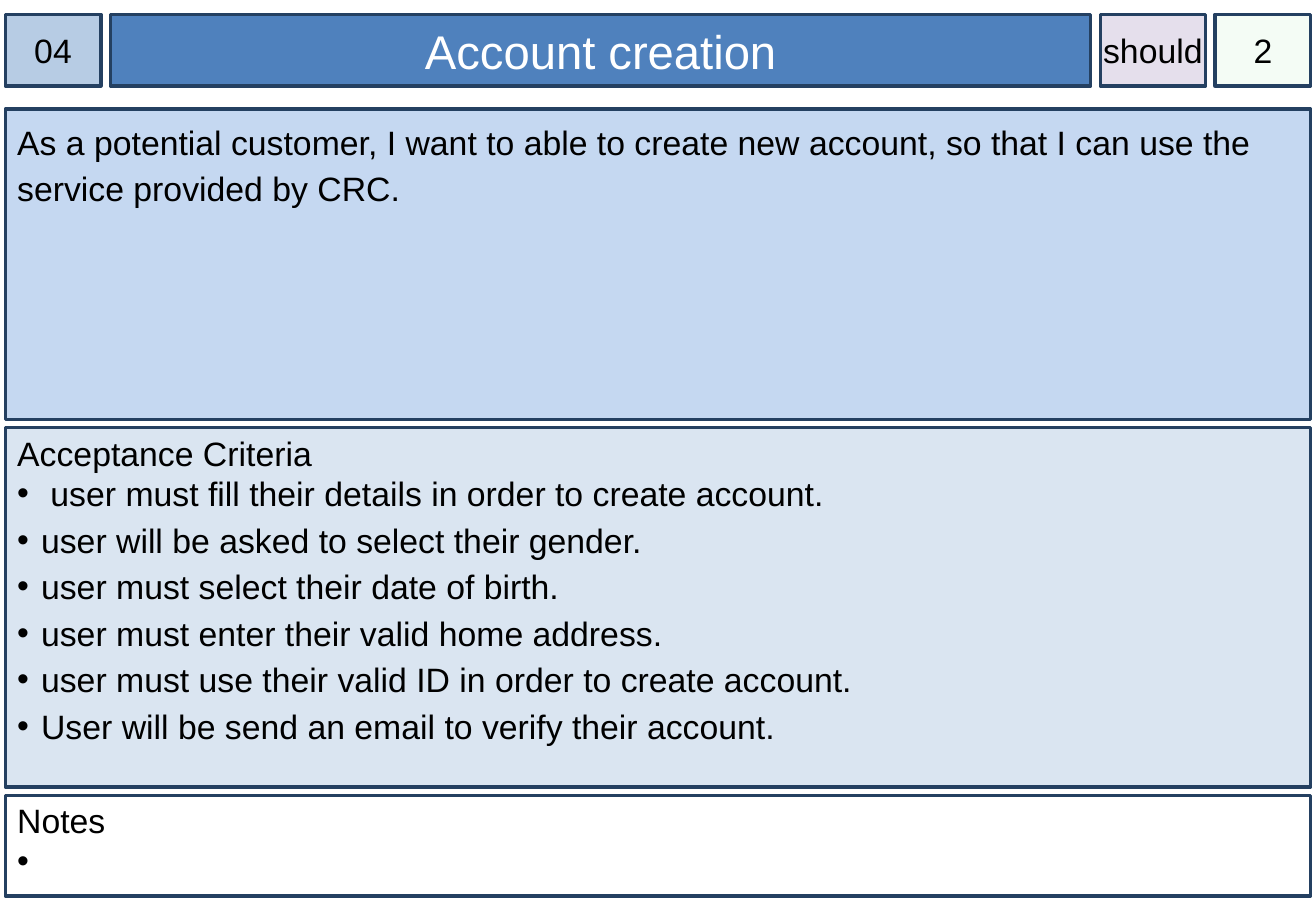
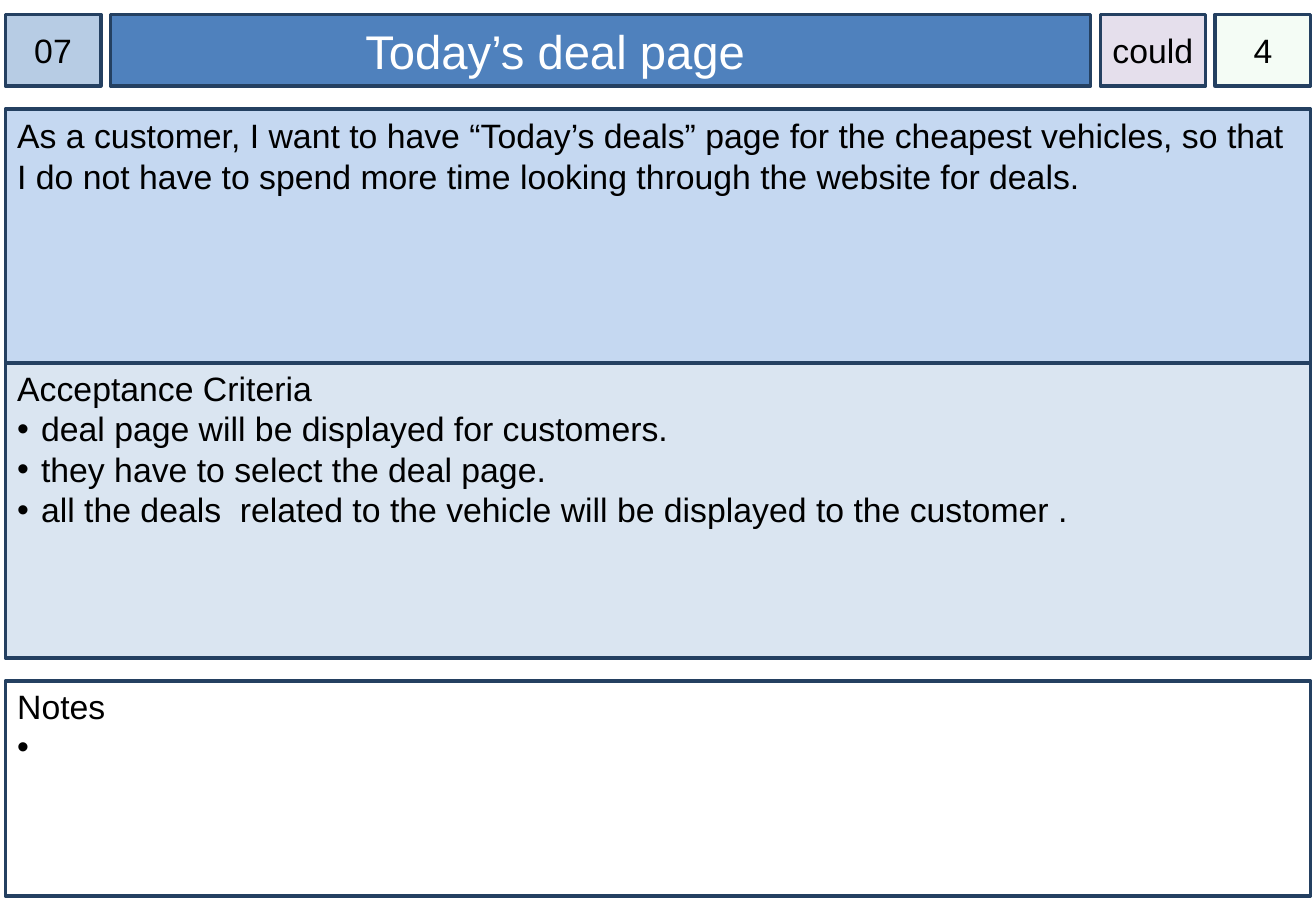
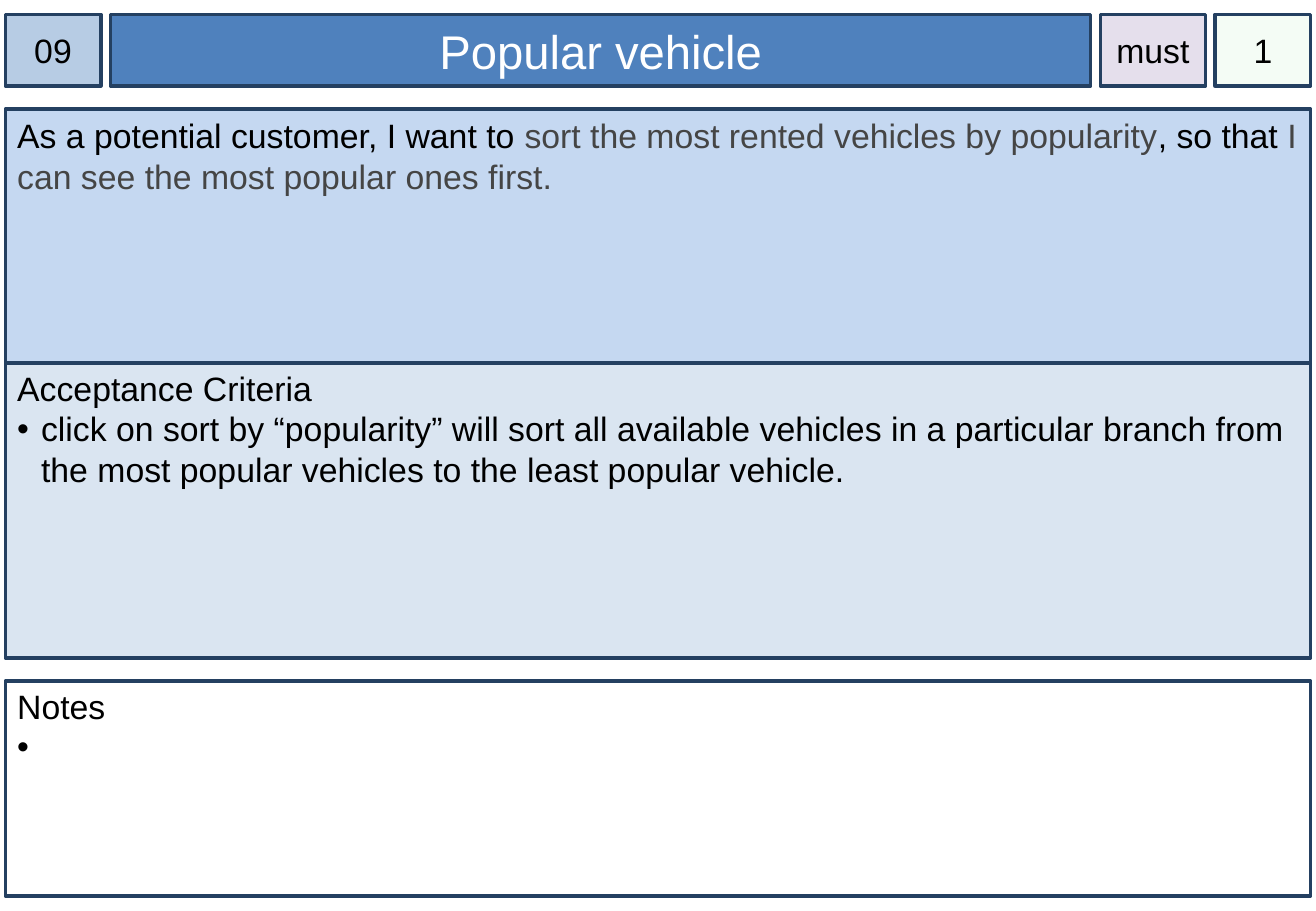
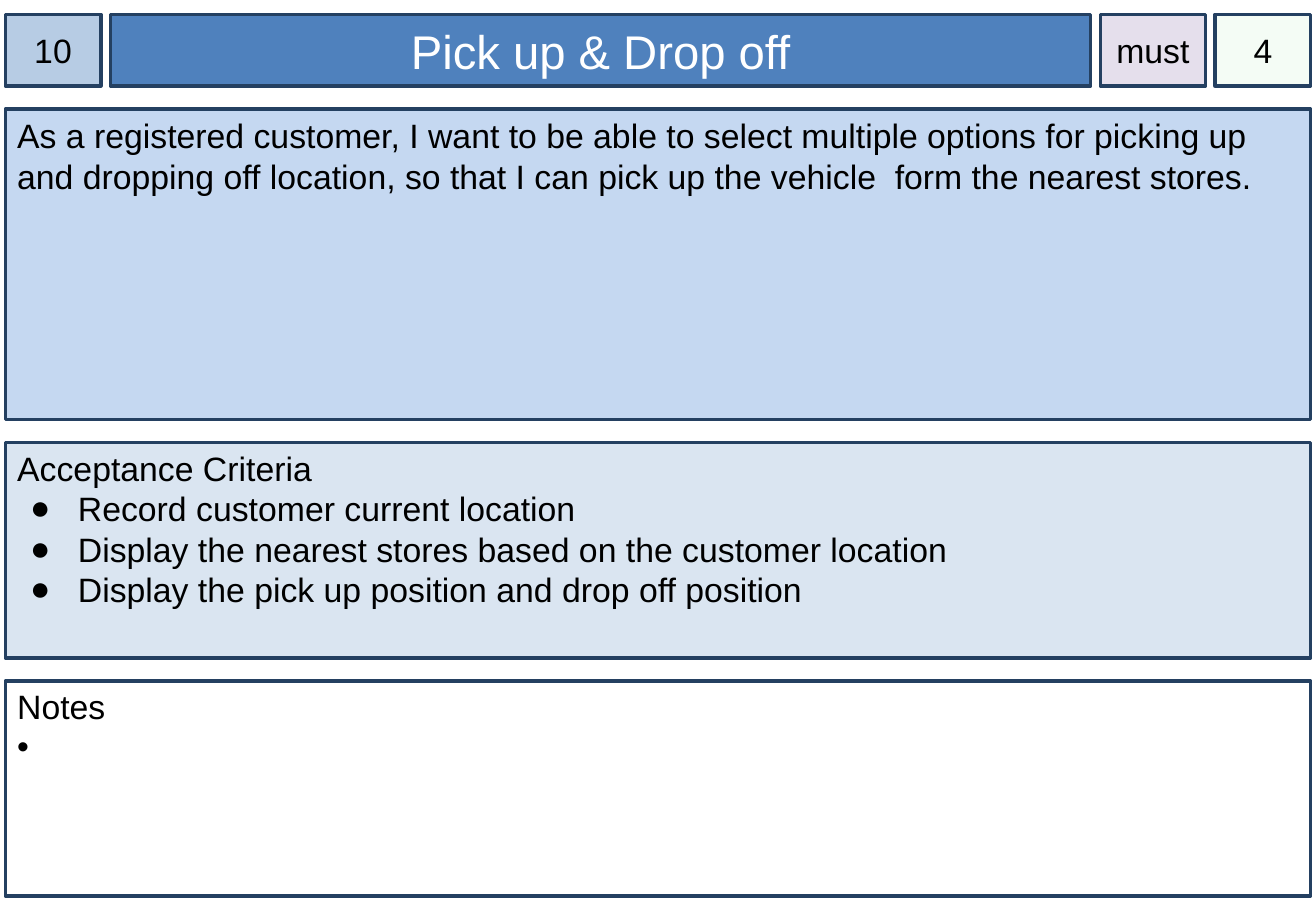
from lxml.etree import SubElement
from pptx import Presentation
from pptx.dml.color import RGBColor
from pptx.enum.shapes import MSO_SHAPE
from pptx.enum.text import MSO_ANCHOR, MSO_AUTO_SIZE, PP_ALIGN
from pptx.oxml.ns import qn
from pptx.util import Cm, Pt

COLORS = {
    "border": "244061", "number": "B7CCE4", "title": "4F81BD",
    "priority": "E5DFEC", "estimate": "CCF0CD", "story": "C5D8F1",
    "criteria": "DAE5F1", "notes": "FFFFFF", "text": "000000",
    "title_text": "FFFFFF", "muted": "454545",
}
FONT = "Arial"
MARGIN, GAP = 0.11, 0.2
HEADER_TOP, HEADER_HEIGHT = 0.3, 1.5
HEADER_WIDTHS = {"number": 2, "title": 20.5, "priority": 2.2, "estimate": 2}
BODY_WIDTH, BODY_TOP, BODY_BOTTOM = 27.3, 2.28, 18.74

CARDS = [
    {
        "number": "04", "title": "Account creation", "priority": "should", "estimate": "2",
        "story": [("As a potential customer, I want to able to create new account, so that I can use the service provided by CRC.", "text")],
        "criteria": [
            " user must fill their details in order to create account.",
            "user will be asked to select their gender.",
            "user must select their date of birth.",
            "user must enter their valid home address.",
            "user must use their valid ID in order to create account.",
            "User will be send an email to verify their account.",
        ],
        "spacing": 1.15, "story_height": 6.5, "criteria_top": 8.94,
        "criteria_height": 7.52, "notes_top": 16.63,
    },
    {
        "number": "07", "title": "Today’s deal page", "priority": "could", "estimate": "4",
        "title_format": {"align": PP_ALIGN.LEFT, "indent": 5.08},
        "story": [("As a customer, I want to have “Today’s deals” page for the cheapest vehicles, so that I do not have to spend more time looking through the website for deals.", "text")],
        "criteria": [
            "deal page will be displayed for customers.",
            "they have to select the deal page.",
            "all the deals  related to the vehicle will be displayed to the customer .",
        ],
        "story_height": 5.31, "criteria_top": 7.59,
        "criteria_height": 6.17, "notes_top": 14.24,
    },
    {
        "number": "09", "title": "Popular vehicle", "priority": "must", "estimate": "1",
        "story": [
            ("As a potential customer, I want to ", "text"),
            ("sort the most rented vehicles by popularity", "muted"),
            (", so that ", "text"),
            ("I can see the most popular ones first.", "muted"),
        ],
        "criteria": ["click on sort by “popularity” will sort all available vehicles in a particular branch from the most popular vehicles to the least popular vehicle."],
        "story_height": 5.31, "criteria_top": 7.59,
        "criteria_height": 6.17, "notes_top": 14.24,
    },
    {
        "number": "10", "title": "Pick up & Drop off", "priority": "must", "estimate": "4",
        "story": [("As a registered customer, I want to be able to select multiple options for picking up and dropping off location, so that I can pick up the vehicle  form the nearest stores.", "text")],
        "criteria": [
            "Record customer current location",
            "Display the nearest stores based on the customer location",
            "Display the pick up position and drop off position",
        ],
        "bullet_format": {"bullet": "●", "indent": 1.27, "hanging": 1},
        "story_height": 6.5, "criteria_top": 9.26,
        "criteria_height": 4.5, "notes_top": 14.24,
    },
]
BULLET = {"bullet": "•", "indent": 0.5, "hanging": 0.5}


def write(paragraph, text, size=20, color="text", align=PP_ALIGN.LEFT,
          spacing=None, indent=0, hanging=0, bullet=None):
    paragraph.alignment = align
    paragraph.line_spacing = spacing
    properties = paragraph._p.get_or_add_pPr()
    properties.set("marL", str(Cm(indent)))
    properties.set("indent", str(-Cm(hanging)))
    if bullet:
        bullet_color = SubElement(properties, qn("a:buClr"))
        SubElement(bullet_color, qn("a:srgbClr"), val=COLORS["text"])
        SubElement(properties, qn("a:buFont"), typeface=FONT)
        SubElement(properties, qn("a:buChar"), char=bullet)
    parts = [(text, color)] if isinstance(text, str) else text
    for content, shade in parts:
        span = paragraph.add_run()
        span.text = content
        span.font.name = FONT
        span.font.size = Pt(size)
        span.font.color.rgb = RGBColor.from_string(COLORS[shade])


def make_panel(page, name, left, top, width, height, side=0.25, upper=0.13,
               anchor=MSO_ANCHOR.TOP):
    area = Cm(left), Cm(top), Cm(width), Cm(height)
    if name == "title":
        box = page.shapes.title
        box.left, box.top, box.width, box.height = area
    else:
        box = page.shapes.add_shape(MSO_SHAPE.RECTANGLE, *area)
        box.shadow.inherit = False
    box.fill.solid()
    box.fill.fore_color.rgb = RGBColor.from_string(COLORS[name])
    box.line.color.rgb = RGBColor.from_string(COLORS["border"])
    box.line.width = Pt(2)
    frame = box.text_frame
    frame.word_wrap = True
    frame.auto_size = MSO_AUTO_SIZE.NONE
    frame.vertical_anchor = anchor
    frame.margin_left = frame.margin_right = Cm(side)
    frame.margin_top, frame.margin_bottom = Cm(upper), Cm(0.13)
    return box


deck = Presentation()
deck.slide_width, deck.slide_height = Cm(27.52), Cm(19.05)

for card in CARDS:
    page = deck.slides.add_slide(deck.slide_layouts[5])

    left = MARGIN
    for name, width in HEADER_WIDTHS.items():
        box = make_panel(page, name, left, HEADER_TOP, width, HEADER_HEIGHT,
                         side=0.25 if name == "title" else 0, anchor=MSO_ANCHOR.MIDDLE)
        text_format = {"align": PP_ALIGN.CENTER}
        if name == "title":
            text_format.update(size=28, color="title_text")
            text_format.update(card.get("title_format", {}))
        write(box.text_frame.paragraphs[0], card[name], **text_format)
        if name == "estimate":
            tint = box._element.spPr.find(qn("a:solidFill")).find(qn("a:srgbClr"))
            SubElement(tint, qn("a:alpha"), val="20000")
        left += width + GAP

    spacing = card.get("spacing")
    story = make_panel(page, "story", MARGIN, BODY_TOP, BODY_WIDTH, card["story_height"])
    write(story.text_frame.paragraphs[0], card["story"], spacing=spacing)

    notes_top = card["notes_top"]
    sections = [
        ("criteria", "Acceptance Criteria", card["criteria_top"], card["criteria_height"], card["criteria"]),
        ("notes", "Notes", notes_top, BODY_BOTTOM - notes_top, [" "]),
    ]
    for name, heading, top, height, items in sections:
        frame = make_panel(page, name, MARGIN, top, BODY_WIDTH, height, upper=0.1).text_frame
        write(frame.paragraphs[0], heading)
        bullet_format = card.get("bullet_format", BULLET) if name == "criteria" else BULLET
        for position, item in enumerate(items):
            write(frame.add_paragraph(), item, spacing=spacing if position else None, **bullet_format)

deck.save("out.pptx")
